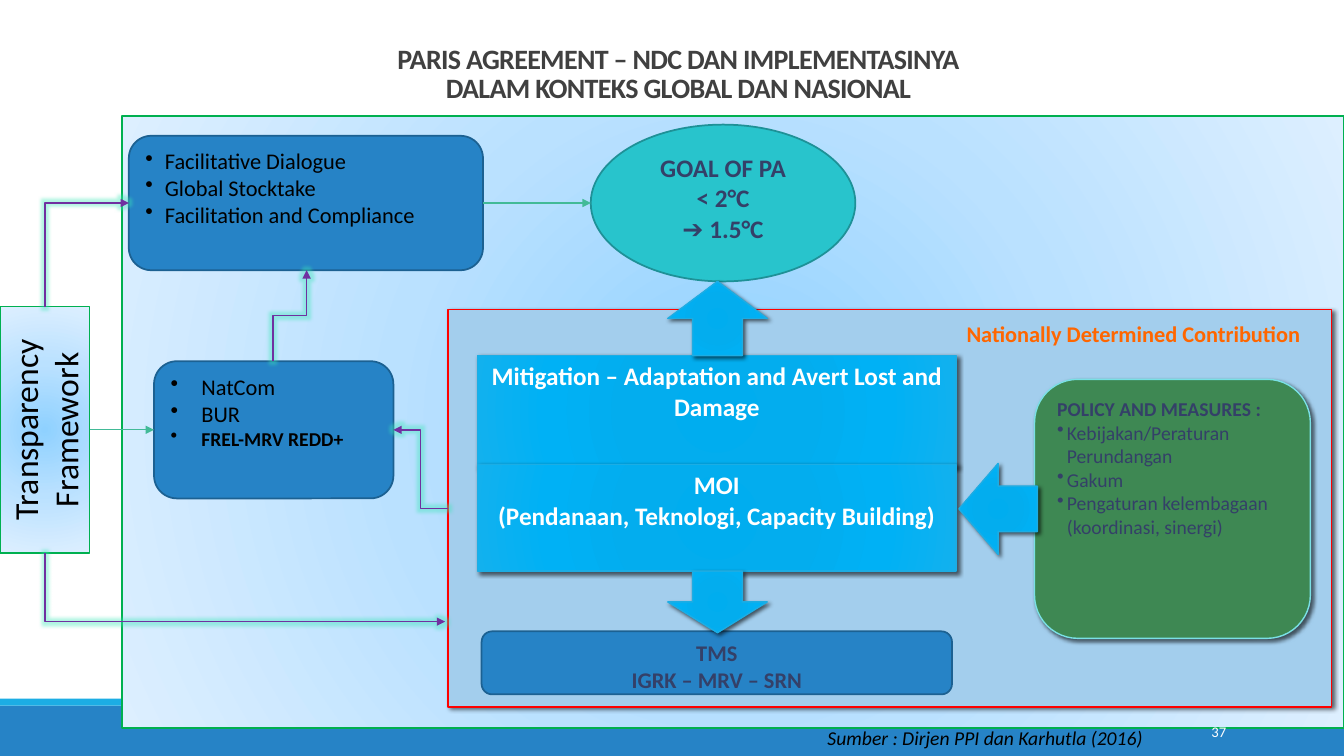
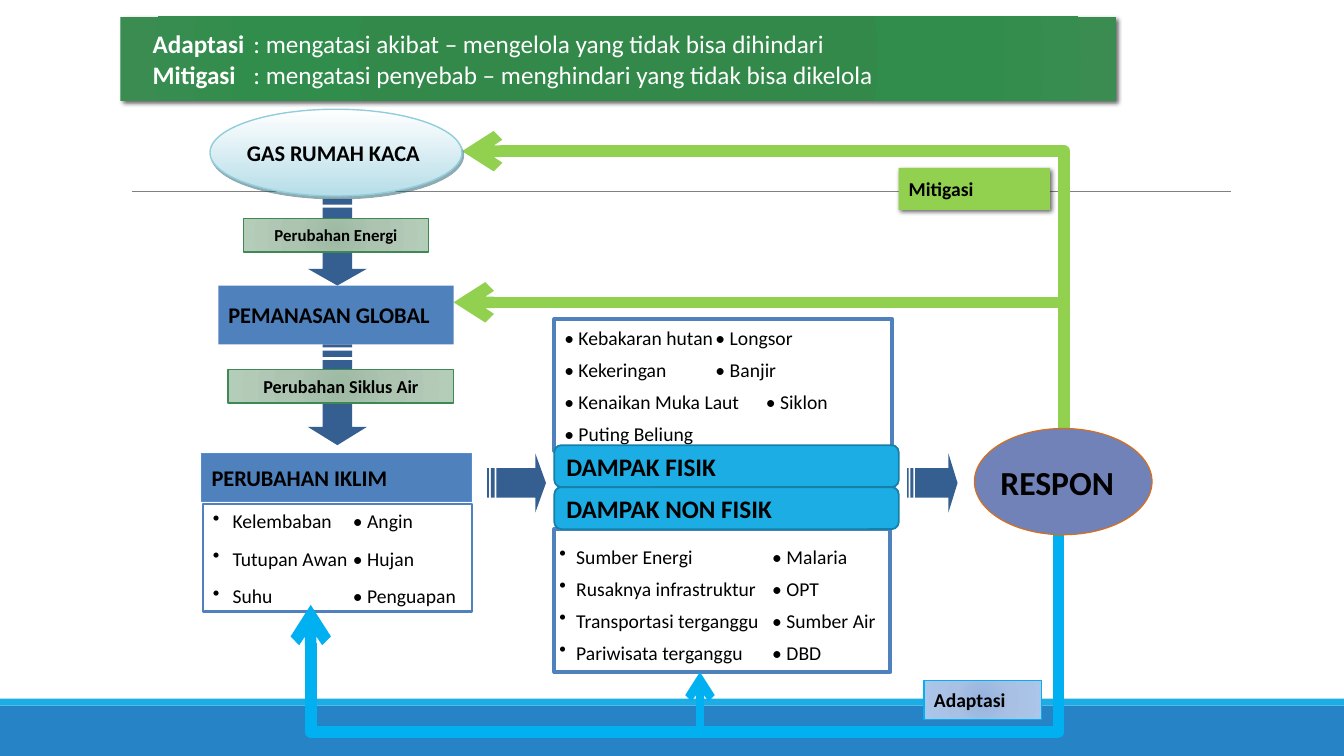
from dataclasses import dataclass, field
from typing import Any, Optional, Union

from pptx import Presentation
from pptx.dml.color import RGBColor
from pptx.enum.shapes import MSO_CONNECTOR as Link, MSO_SHAPE as Kind
from pptx.enum.text import MSO_ANCHOR as Anchor, PP_ALIGN as Align
from pptx.oxml import parse_xml
from pptx.oxml.ns import nsdecls, qn
from pptx.util import Pt

FONT = "Calibri"
BLACK = RGBColor(0x00, 0x00, 0x00)
WHITE = RGBColor(0xFF, 0xFF, 0xFF)
CHARCOAL = RGBColor(0x40, 0x40, 0x40)
GRAY = RGBColor(0x80, 0x80, 0x80)
NAVY = RGBColor(0x34, 0x40, 0x68)
BLUE = RGBColor(0x26, 0x83, 0xC6)
BLUE_EDGE = RGBColor(0x1C, 0x61, 0x92)
CYAN = RGBColor(0x1C, 0xAD, 0xE4)
CYAN_EDGE = RGBColor(0x15, 0x80, 0xA9)
SKY = RGBColor(0x00, 0xB0, 0xF0)
PALE_BLUE = RGBColor(0xA3, 0xCE, 0xED)
TURQUOISE = RGBColor(0x28, 0xC4, 0xCC)
TURQUOISE_EDGE = RGBColor(0x1E, 0x91, 0x97)
AQUA = RGBColor(0x7A, 0xE0, 0xE5)
GLOW = RGBColor(0x3C, 0xE8, 0xB8)
TEAL = RGBColor(0x42, 0xBA, 0x97)
GREEN = RGBColor(0x00, 0xB0, 0x50)
FOREST = RGBColor(0x3E, 0x88, 0x53)
LIME = RGBColor(0x92, 0xD0, 0x50)
RED = RGBColor(0xFF, 0x00, 0x00)
ORANGE = RGBColor(0xFF, 0x66, 0x00)
RUST = RGBColor(0xE3, 0x6C, 0x0A)
PURPLE = RGBColor(0x70, 0x30, 0xA0)
STEEL = RGBColor(0x4F, 0x81, 0xBD)
STEEL_EDGE = RGBColor(0x54, 0x8D, 0xD4)
DEEP_STEEL = RGBColor(0x36, 0x5F, 0x91)
LAVENDER = RGBColor(0x71, 0x82, 0xB8)
ICE_EDGE = RGBColor(0x92, 0xCD, 0xDC)
ICE_SHADE = RGBColor(0x20, 0x58, 0x67)


@dataclass(frozen=True)
class Gradient:
    stops: tuple[tuple[int, str], ...]
    focus: Optional[int] = None


@dataclass(frozen=True)
class Shadow:
    color: RGBColor = BLACK
    opacity: int = 60
    blur: float = 3
    distance: float = 2
    angle: int = 45


@dataclass
class Box:
    kind: Optional[Kind]
    left: float
    top: float
    width: float
    height: float
    fill: Union[RGBColor, Gradient, None] = None
    line: Optional[RGBColor] = None
    weight: float = 1
    shadow: Optional[Shadow] = None
    anchor: Anchor = Anchor.TOP
    inset: tuple[float, float, float, float] = (7.2, 3.6, 7.2, 3.6)
    text: str = ""
    style: dict[str, Any] = field(default_factory=dict)


@dataclass(frozen=True)
class Elbow:
    bends: int
    start: tuple[float, float]
    end: tuple[float, float]
    color: RGBColor
    weight: float
    turn: int
    head: str = "triangle"
    glow: bool = False
    adjust: tuple[float, ...] = ()


MIST = Gradient(((0, RGBColor(0x8F, 0xD1, 0xFF)), (50, RGBColor(0xBA, 0xE1, 0xFF)),
                 (100, RGBColor(0xDD, 0xEF, 0xFF))), 50)
AZURE = Gradient(((0, RGBColor(0x00, 0xAD, 0xEF)), (34, RGBColor(0x03, 0xAD, 0xEE)),
                  (70, RGBColor(0x00, 0xB1, 0xF5)), (100, RGBColor(0x12, 0xB1, 0xEE))), 100)
SAGE = Gradient(((0, RGBColor(0x9D, 0xBA, 0xA3)), (45, RGBColor(0xAD, 0xC4, 0xB1)),
                 (100, RGBColor(0xB4, 0xCD, 0xB9))), 100)
PERIWINKLE = Gradient(((0, RGBColor(0x95, 0xB3, 0xDD)), (45, RGBColor(0xA7, 0xC0, 0xE3)),
                       (100, RGBColor(0xAC, 0xC6, 0xEB))), 100)
EMERALD = Gradient(((0, RGBColor(0x2F, 0x89, 0x49)), (34, RGBColor(0x32, 0x89, 0x4A)),
                    (70, RGBColor(0x31, 0x8D, 0x4B)), (100, RGBColor(0x3A, 0x8C, 0x51))), 100)
ICE = Gradient(((0, WHITE), (100, RGBColor(0xB6, 0xDD, 0xE8))))
SOFT = Shadow()
SOFTER = Shadow(blur=3.5)
GLOSSY = dict(fill=AZURE, line=CYAN, shadow=SOFT)


def write(shape, text: str, *, size: float, color: RGBColor = BLACK, bold: bool = False,
          italic: bool = False, align: Align = Align.LEFT, lead: str = "", bullet: bool = False,
          hang: float = 0, after: float = 0, tabs: tuple[float, ...] = (),
          leading: Optional[float] = None, tracking: float = 0) -> None:
    frame = shape.text_frame
    for line in text.split("\n"):
        para = frame.add_paragraph() if frame.text else frame.paragraphs[0]
        para.alignment = align
        para.space_before, para.space_after = Pt(0), Pt(after)
        if leading:
            para.line_spacing = leading
        props = para._p.get_or_add_pPr()
        props.set("marL", str(Pt(hang)))
        props.set("indent", str(-Pt(hang)))
        if bullet:
            props.append(parse_xml(f'<a:buChar {nsdecls("a")} char="•"/>'))
        if tabs:
            stops = "".join(f'<a:tab pos="{Pt(tab)}" algn="l"/>' for tab in tabs)
            props.append(parse_xml(f'<a:tabLst {nsdecls("a")}>{stops}</a:tabLst>'))
        for part, strong in ((lead, True), (line, bold)):
            if part:
                run = para.add_run()
                run.text = part
                run.font.name, run.font.size = FONT, Pt(size)
                run.font.bold, run.font.italic = strong, italic
                run.font.color.rgb = color
                if tracking:
                    run.font._element.set("spc", str(int(tracking * 100)))


def paint_gradient(shape, gradient: Gradient) -> None:
    stops = "".join(f'<a:gs pos="{pos * 1000}"><a:srgbClr val="{color}"/></a:gs>'
                    for pos, color in gradient.stops)
    if gradient.focus is None:
        course = '<a:lin ang="5400000" scaled="0"/>'
    else:
        sides = " ".join(f'{side}="{gradient.focus * 1000}"' for side in "ltrb")
        course = f'<a:path path="circle"><a:fillToRect {sides}/></a:path>'
    shape.fill.solid()
    props = shape._element.spPr
    props.replace(props.find(qn("a:solidFill")), parse_xml(
        f'<a:gradFill {nsdecls("a")} rotWithShape="1"><a:gsLst>{stops}</a:gsLst>{course}</a:gradFill>'))


def draw_box(slide, box: Box):
    frame = [Pt(v) for v in (box.left, box.top, box.width, box.height)]
    if box.kind is None:
        shape = slide.shapes.add_textbox(*frame)
    else:
        shape = slide.shapes.add_shape(box.kind, *frame)
        shape.shadow.inherit = False
        if isinstance(box.fill, Gradient):
            paint_gradient(shape, box.fill)
        elif box.fill is None:
            shape.fill.background()
        else:
            shape.fill.solid()
            shape.fill.fore_color.rgb = box.fill
        if box.line is None:
            shape.line.fill.background()
        else:
            shape.line.color.rgb, shape.line.width = box.line, Pt(box.weight)
    if box.shadow:
        shade = box.shadow
        shape._element.spPr.find(qn("a:effectLst")).append(parse_xml(
            f'<a:outerShdw {nsdecls("a")} blurRad="{Pt(shade.blur)}" dist="{Pt(shade.distance)}" '
            f'dir="{shade.angle * 60000}" algn="tl" rotWithShape="0"><a:srgbClr val="{shade.color}">'
            f'<a:alpha val="{shade.opacity * 1000}"/></a:srgbClr></a:outerShdw>'))
    text = shape.text_frame
    text.word_wrap, text.vertical_anchor = True, box.anchor
    text.margin_left, text.margin_top, text.margin_right, text.margin_bottom = map(Pt, box.inset)
    if box.text:
        write(shape, box.text, **box.style)
    return shape


def draw_line(slide, start, end, color: RGBColor, weight: float, head: str = "",
              glow: bool = False, kind: Link = Link.STRAIGHT):
    link = slide.shapes.add_connector(kind, *map(Pt, (*start, *end)))
    link.line.color.rgb, link.line.width = color, Pt(weight)
    if head:
        link.line._get_or_add_ln().append(parse_xml(f'<a:tailEnd {nsdecls("a")} type="{head}"/>'))
    halo = (f'<a:glow rad="{Pt(5)}"><a:srgbClr val="{GLOW}"><a:alpha val="40000"/></a:srgbClr></a:glow>'
            if glow else "")
    link._element.spPr.append(parse_xml(f'<a:effectLst {nsdecls("a")}>{halo}</a:effectLst>'))
    return link


def draw_elbow(slide, elbow: Elbow) -> None:
    (x1, y1), (x2, y2) = elbow.start, elbow.end
    upright = elbow.turn in (90, 270)
    width, height = abs(x2 - x1), abs(y2 - y1)
    flips = (x2 < x1, y2 < y1)
    if upright:
        width, height = height, width
        flips = (y2 < y1, x2 > x1)
    left, top = (x1 + x2 - width) / 2, (y1 + y2 - height) / 2
    link = draw_line(slide, (left, top), (left + width, top + height), elbow.color,
                     elbow.weight, elbow.head, elbow.glow, Link.ELBOW)
    props = link._element.spPr
    frame = props.find(qn("a:xfrm"))
    frame.set("rot", str(elbow.turn * 60000))
    for name, flip in zip(("flipH", "flipV"), flips):
        frame.set(name, str(int(flip != (elbow.turn >= 180))))
    geometry = props.find(qn("a:prstGeom"))
    geometry.set("prst", f"bentConnector{elbow.bends}")
    for number, value in enumerate(elbow.adjust, 1):
        geometry.find(qn("a:avLst")).append(parse_xml(
            f'<a:gd {nsdecls("a")} name="adj{number}" fmla="val {round(value * 100000)}"/>'))


def draw_striped_arrow(slide, left: float, top: float, length: float, down: bool = False) -> None:
    breadth, neck = 42, 0.82
    pieces = [[(5 / 32, 0.25), (neck, 0.25), (neck, 0), (1, 0.5), (neck, 1), (neck, 0.75), (5 / 32, 0.75)]]
    pieces += [[(a, 0.25), (b, 0.25), (b, 0.75), (a, 0.75)] for a, b in ((0, 1 / 32), (1 / 16, 1 / 8))]

    def place(along: float, across: float) -> tuple[int, int]:
        x, y = along * length, across * breadth
        return (Pt(left + y), Pt(top + x)) if down else (Pt(left + x), Pt(top + y))

    outline = None
    for piece in pieces:
        first, *rest = [place(*point) for point in piece]
        if outline is None:
            outline = slide.shapes.build_freeform(*first)
        else:
            outline.move_to(*first)
        outline.add_line_segments(rest, close=True)
    arrow = outline.convert_to_shape()
    arrow.shadow.inherit = False
    arrow.fill.solid()
    arrow.fill.fore_color.rgb = DEEP_STEEL
    arrow.line.fill.background()


def start_slide(deck, layout: int):
    slide = deck.slides.add_slide(deck.slide_layouts[layout])
    draw_box(slide, Box(Kind.RECTANGLE, 0, 504, 960, 36, BLUE))
    draw_box(slide, Box(Kind.RECTANGLE, 0, 499, 960, 5, CYAN))
    draw_line(slide, (94, 137), (879, 137), GRAY, 0.5)
    return slide


def build_agreement(deck) -> None:
    slide = start_slide(deck, 5)
    title = slide.shapes.title
    title.left, title.top, title.width, title.height = map(Pt, (110, 0, 749, 78))
    title.text_frame.vertical_anchor = Anchor.BOTTOM
    write(title, "PARIS AGREEMENT – NDC DAN IMPLEMENTASINYA\nDALAM KONTEKS GLOBAL DAN NASIONAL",
          size=20, color=CHARCOAL, bold=True, align=Align.CENTER, leading=0.85, tracking=-0.5)

    rounded = dict(fill=BLUE, line=BLUE_EDGE, weight=1.25)
    heading = dict(size=18, bold=True, align=Align.CENTER)
    draw_box(slide, Box(Kind.RECTANGLE, 87, 83, 873, 437, MIST, GREEN, 1.25))
    draw_box(slide, Box(Kind.RECTANGLE, 320, 221, 631, 284, PALE_BLUE, RED, 1, SOFT))
    draw_box(slide, Box(Kind.OVAL, 422, 89, 189, 112, TURQUOISE, TURQUOISE_EDGE, 1.25,
                        text="GOAL OF PA\n< 2°C\n➔ 1.5°C", style=dict(heading, color=NAVY)))
    for top, height, text in ((254, 79, "Mitigation – Adaptation and Avert Lost and Damage"),
                              (332, 76, "MOI\n(Pendanaan, Teknologi, Capacity Building)")):
        draw_box(slide, Box(Kind.RECTANGLE, 341, top, 342, height, **GLOSSY,
                            text=text, style=dict(heading, color=WHITE)))
    review = draw_box(slide, Box(Kind.ROUNDED_RECTANGLE, 92, 97, 253, 96, **rounded,
                                 text="Facilitative Dialogue\nGlobal Stocktake\nFacilitation and Compliance",
                                 style=dict(size=16, bullet=True, hang=14)))
    draw_box(slide, Box(Kind.ROUNDED_RECTANGLE, 344, 451, 336, 45, **rounded,
                        text="TMS\nIGRK – MRV – SRN", style=dict(heading, size=16, color=NAVY)))
    reports = draw_box(slide, Box(Kind.ROUNDED_RECTANGLE, 110, 258, 171, 98, **rounded,
                                  text="NatCom\nBUR", style=dict(size=16, bullet=True, hang=22)))
    write(reports, "FREL-MRV REDD+", size=14, bold=True, bullet=True, hang=22)
    policy = draw_box(slide, Box(Kind.ROUNDED_RECTANGLE, 739, 271, 197, 185, FOREST, AQUA, 1, SOFT,
                                 text="POLICY AND MEASURES :", style=dict(size=14, color=NAVY, bold=True)))
    write(policy, "Kebijakan/Peraturan Perundangan\nGakum\nPengaturan kelembagaan (koordinasi, sinergi)",
          size=14, color=NAVY, bullet=True, hang=7)
    for kind, *frame in ((Kind.UP_ARROW, 477, 201, 71, 53), (Kind.LEFT_ARROW, 685, 331, 56, 65),
                         (Kind.DOWN_ARROW, 477, 408, 71, 44)):
        draw_box(slide, Box(kind, *frame, **GLOSSY))
    draw_box(slide, Box(None, 629, 225, 307, 27, text="Nationally Determined Contribution",
                        style=dict(size=16, color=ORANGE, bold=True, align=Align.RIGHT)))
    transparency = draw_box(slide, Box(Kind.RECTANGLE, 0, 219, 64, 176, MIST, GREEN, 1.25,
                                       anchor=Anchor.MIDDLE, text="Transparency\nFramework",
                                       style=dict(size=24, align=Align.CENTER)))
    transparency.text_frame._txBody.bodyPr.set("vert", "vert270")
    for bends, start, end, turn in ((3, (195, 258), (219, 193), 90), (3, (320, 363), (281, 307), 180),
                                    (2, (32, 219), (92, 145), 90), (2, (32, 395), (318, 444), 270)):
        draw_elbow(slide, Elbow(bends, start, end, PURPLE, 1, turn, glow=True))
    to_reports = draw_line(slide, (64, 307), (110, 307), TEAL, 1, "triangle")
    to_reports.begin_connect(transparency, 3)
    to_reports.end_connect(reports, 1)
    to_goal = draw_line(slide, (345, 145), (422, 145), TEAL, 1, "triangle")
    to_goal.begin_connect(review, 3)
    draw_box(slide, Box(None, 780, 508, 103, 29, anchor=Anchor.MIDDLE, text="37",
                        style=dict(size=10.5, color=WHITE, align=Align.RIGHT)))
    draw_box(slide, Box(None, 584, 515, 376, 25, text="Sumber : Dirjen PPI dan Karhutla (2016)",
                        style=dict(size=14, italic=True)))


def build_response(deck) -> None:
    slide = start_slide(deck, 6)
    middle = dict(anchor=Anchor.MIDDLE)
    for left, top, length, down in ((220, 138, 66, True), (220, 246, 72, True),
                                    (348, 324, 42, False), (648, 324, 36, False)):
        draw_striped_arrow(slide, left, top, length, down)
    for left, top, width, size, text in ((174, 156, 132, 12, "Perubahan Energi"),
                                         (163, 264, 161, 13, "Perubahan Siklus Air")):
        draw_box(slide, Box(Kind.RECTANGLE, left, top, width, 24, SAGE, FOREST, **middle, text=text,
                            style=dict(size=size, bold=True, align=Align.CENTER)))
    strong = dict(size=16, bold=True)
    draw_box(slide, Box(Kind.RECTANGLE, 156, 204, 168, 42, STEEL, **middle,
                        text="PEMANASAN GLOBAL", style=strong))
    draw_box(slide, Box(Kind.RECTANGLE, 145, 360, 192, 77, WHITE, STEEL, 1.75,
                        text="\tKelembaban\t• Angin\n\tTutupan Awan\t• Hujan\n\tSuhu\t• Penguapan",
                        style=dict(size=14, after=10, bullet=True, tabs=(14, 100))))
    draw_box(slide, Box(Kind.RECTANGLE, 144, 324, 193, 34, STEEL, STEEL_EDGE, 0.75, **middle,
                        text="PERUBAHAN IKLIM", style=strong))
    draw_box(slide, Box(Kind.RECTANGLE, 396, 228, 241, 94, None, STEEL, 3, inset=(7.2, 5, 0, 0),
                        text="• Kebakaran hutan\t• Longsor\n• Kekeringan\t• Banjir\n"
                             "• Kenaikan Muka Laut\t• Siklon\n• Puting Beliung",
                        style=dict(size=14, after=6, tabs=(144,))))
    draw_box(slide, Box(Kind.RECTANGLE, 396, 378, 240, 102, None, STEEL, 3, inset=(3.6, 11, 0, 0),
                        text="\tSumber Energi\t• Malaria\n\tRusaknya infrastruktur\t• OPT\n"
                             "\tTransportasi terganggu\t• Sumber Air\n\tPariwisata terganggu\t• DBD",
                        style=dict(size=14, after=6, bullet=True, tabs=(12, 152))))
    for start, end in (((760, 336), (330, 108)), ((760, 310), (324, 216))):
        draw_elbow(slide, Elbow(2, start, end, LIME, 8.25, 270, "arrow"))
    draw_box(slide, Box(Kind.RECTANGLE, 642, 120, 108, 30, LIME, shadow=SOFTER, **middle,
                        text="Mitigasi", style=dict(size=14, bold=True)))
    banner = draw_box(slide, Box(Kind.RECTANGLE, 86, 12, 711, 60, EMERALD, shadow=SOFTER, **middle,
                                 inset=(23, 3.6, 7.2, 3.6)))
    for lead, text in (("Adaptasi", "\t: mengatasi akibat – mengelola yang tidak bisa dihindari"),
                       ("Mitigasi", "\t: mengatasi penyebab – menghindari yang tidak bisa dikelola")):
        write(banner, text, lead=lead, size=18, color=WHITE, tabs=(128,))
    draw_box(slide, Box(Kind.RECTANGLE, 660, 486, 84, 28, PERIWINKLE, SKY, **middle,
                        text="Adaptasi", style=dict(size=14, bold=True)))
    draw_elbow(slide, Elbow(5, (756, 446), (222, 432), SKY, 8.25, 90, "arrow", adjust=(-5.5, 0.47, -5.5)))
    draw_line(slide, (500, 526), (500, 480), SKY, 6, "arrow")
    for top, text in ((318, "DAMPAK FISIK"), (348, "DAMPAK NON FISIK")):
        draw_box(slide, Box(Kind.ROUNDED_RECTANGLE, 396, top, 246, 30, CYAN, CYAN_EDGE, 1.25, **middle,
                            text=text, style=dict(size=18, bold=True)))
    draw_line(slide, (756, 456), (756, 366), SKY, 8)
    draw_box(slide, Box(Kind.OVAL, 150, 78, 180, 62, ICE, ICE_EDGE, 1, Shadow(ICE_SHADE, 50, 0, 2.2, 63),
                        **middle, inset=(0, 0, 0, 0), text="GAS RUMAH KACA", style=strong))
    draw_box(slide, Box(Kind.OVAL, 696, 306, 127, 76, LAVENDER, RUST, 0.75, **middle,
                        inset=(0, 0, 0, 0), text="RESPON", style=dict(size=24, bold=True)))


def main() -> None:
    deck = Presentation()
    deck.slide_width, deck.slide_height = Pt(960), Pt(540)
    build_agreement(deck)
    build_response(deck)
    deck.save("out.pptx")


if __name__ == "__main__":
    main()
